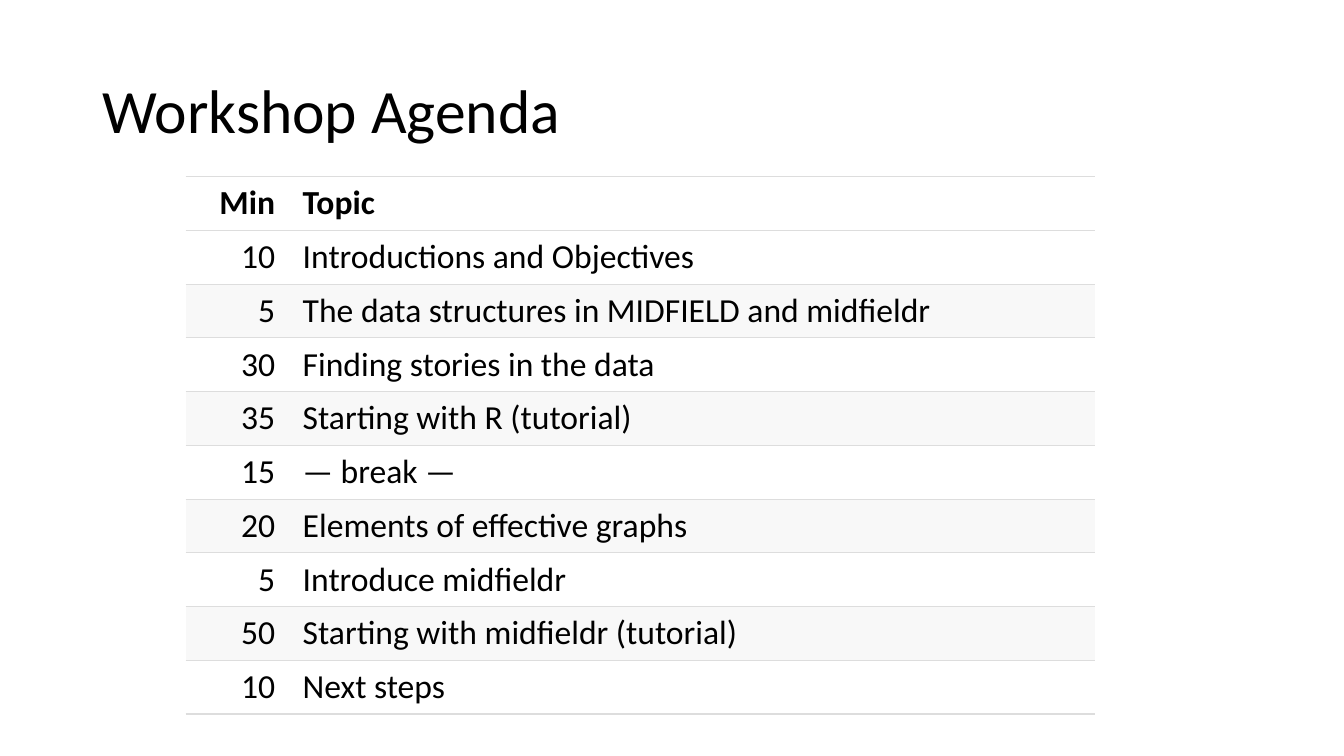
from dataclasses import dataclass

from lxml.etree import SubElement
from pptx import Presentation
from pptx.dml.color import RGBColor
from pptx.enum.text import MSO_ANCHOR, PP_ALIGN
from pptx.oxml.ns import qn
from pptx.util import Cm, Pt

# Content
TITLE = "Workshop Agenda"
AGENDA = [
    ("Min", "Topic"),
    ("10", "Introductions and Objectives"),
    ("5", "The data structures in MIDFIELD and midfieldr"),
    ("30", "Finding stories in the data"),
    ("35", "Starting with R (tutorial)"),
    ("15", "— break —"),
    ("20", "Elements of effective graphs"),
    ("5", "Introduce midfieldr"),
    ("50", "Starting with midfieldr (tutorial)"),
    ("10", "Next steps"),
]
ALIGNMENTS = (PP_ALIGN.RIGHT, PP_ALIGN.LEFT)
COLUMN_WIDTHS = (Cm(2.6), Cm(20.32))
ROW_HEIGHT = Cm(1.35)


@dataclass(frozen=True)
class Theme:
    font: str = "Calibri"
    title_size: int = 44
    table_size: int = 24
    text: str = "000000"
    plain_row: str = "FFFFFF"
    banded_row: str = "F8F8F8"
    rule: str = "DDDDDD"
    thin: float = 0.75
    thick: float = 1.5


THEME = Theme()


def add_span(para, text, size, bold=False):
    span = para.add_run()
    span.text = text
    span.font.name = THEME.font
    span.font.size = Pt(size)
    span.font.bold = bold
    span.font.color.rgb = RGBColor.from_string(THEME.text)


def set_borders(cell, bottom_width):
    """Rule the cell above and below, with open sides."""
    properties = cell._tc.get_or_add_tcPr()
    widths = {"a:lnL": 0, "a:lnR": 0, "a:lnT": THEME.thin, "a:lnB": bottom_width}
    for tag, width in widths.items():
        line = SubElement(properties, qn(tag), w=str(int(Pt(width))))
        if width:
            fill = SubElement(line, qn("a:solidFill"))
            SubElement(fill, qn("a:srgbClr"), val=THEME.rule)
        else:
            SubElement(line, qn("a:noFill"))


def add_title(page):
    box = page.shapes.title
    box.left, box.top, box.width, box.height = Cm(2.33), Cm(1.01), Cm(29.21), Cm(3.68)
    box.text_frame.vertical_anchor = MSO_ANCHOR.MIDDLE
    para = box.text_frame.paragraphs[0]
    para.alignment = PP_ALIGN.LEFT
    para.line_spacing = 0.9
    add_span(para, TITLE, THEME.title_size)


def add_agenda(page):
    last = len(AGENDA) - 1
    table = page.shapes.add_table(
        len(AGENDA), len(COLUMN_WIDTHS), Cm(4.68), Cm(4.45),
        sum(COLUMN_WIDTHS), ROW_HEIGHT * len(AGENDA)).table
    table.first_row = table.horz_banding = False
    for column, width in zip(table.columns, COLUMN_WIDTHS):
        column.width = width

    for row, entry in enumerate(AGENDA):
        table.rows[row].height = ROW_HEIGHT
        banded = row > 0 and row % 2 == 0
        for column, text in enumerate(entry):
            cell = table.cell(row, column)
            cell.vertical_anchor = MSO_ANCHOR.MIDDLE
            cell.margin_left = cell.margin_right = Cm(0.35)
            cell.margin_top = cell.margin_bottom = Cm(0.16)
            set_borders(cell, THEME.thick if row == last else THEME.thin)
            cell.fill.solid()
            cell.fill.fore_color.rgb = RGBColor.from_string(
                THEME.banded_row if banded else THEME.plain_row)
            para = cell.text_frame.paragraphs[0]
            para.alignment = ALIGNMENTS[column]
            add_span(para, text, THEME.table_size, bold=row == 0)


def main():
    deck = Presentation()
    deck.slide_width, deck.slide_height = Cm(33.87), Cm(19.05)
    page = deck.slides.add_slide(deck.slide_layouts.get_by_name("Title Only"))
    add_title(page)
    add_agenda(page)
    deck.save("out.pptx")


if __name__ == "__main__":
    main()
